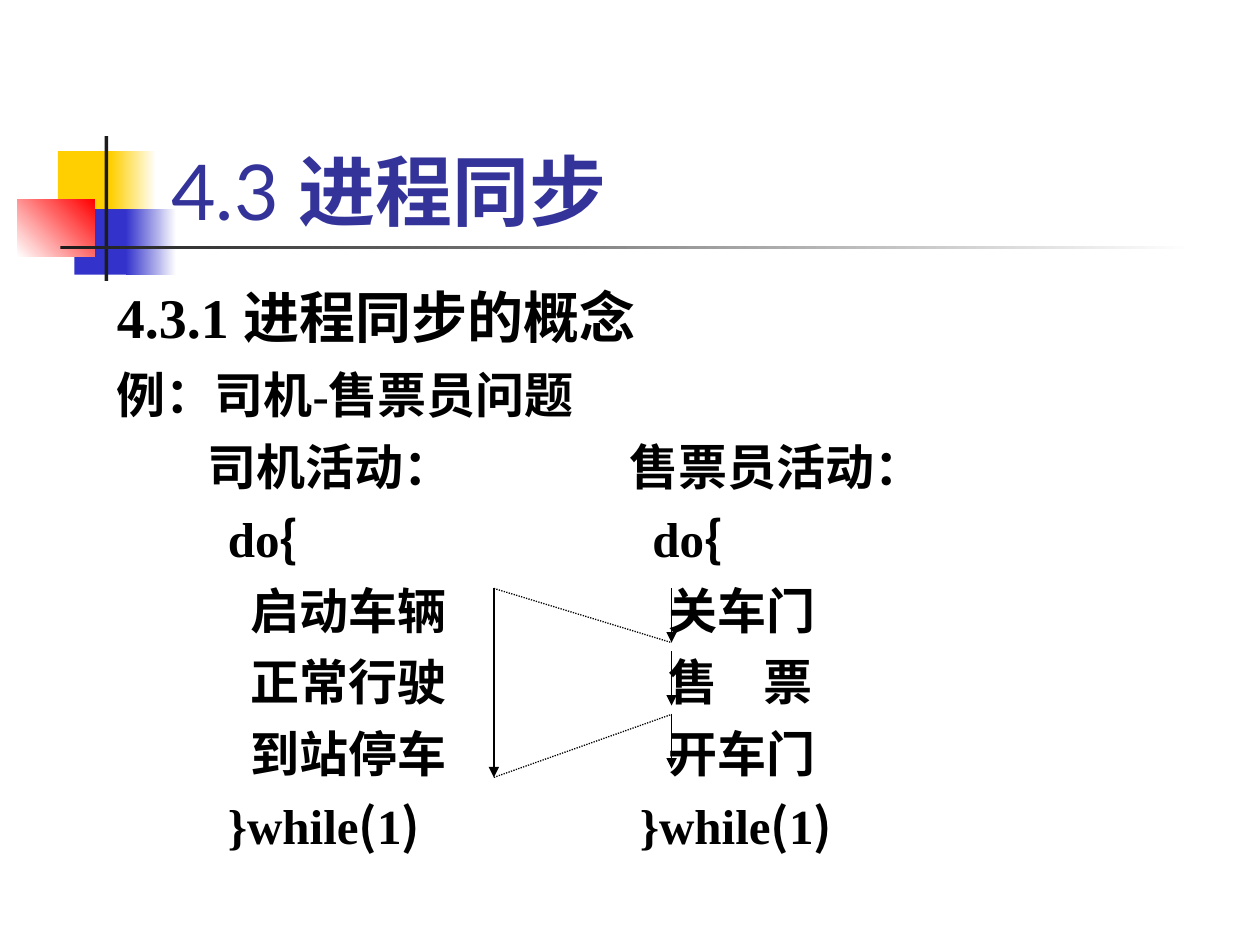
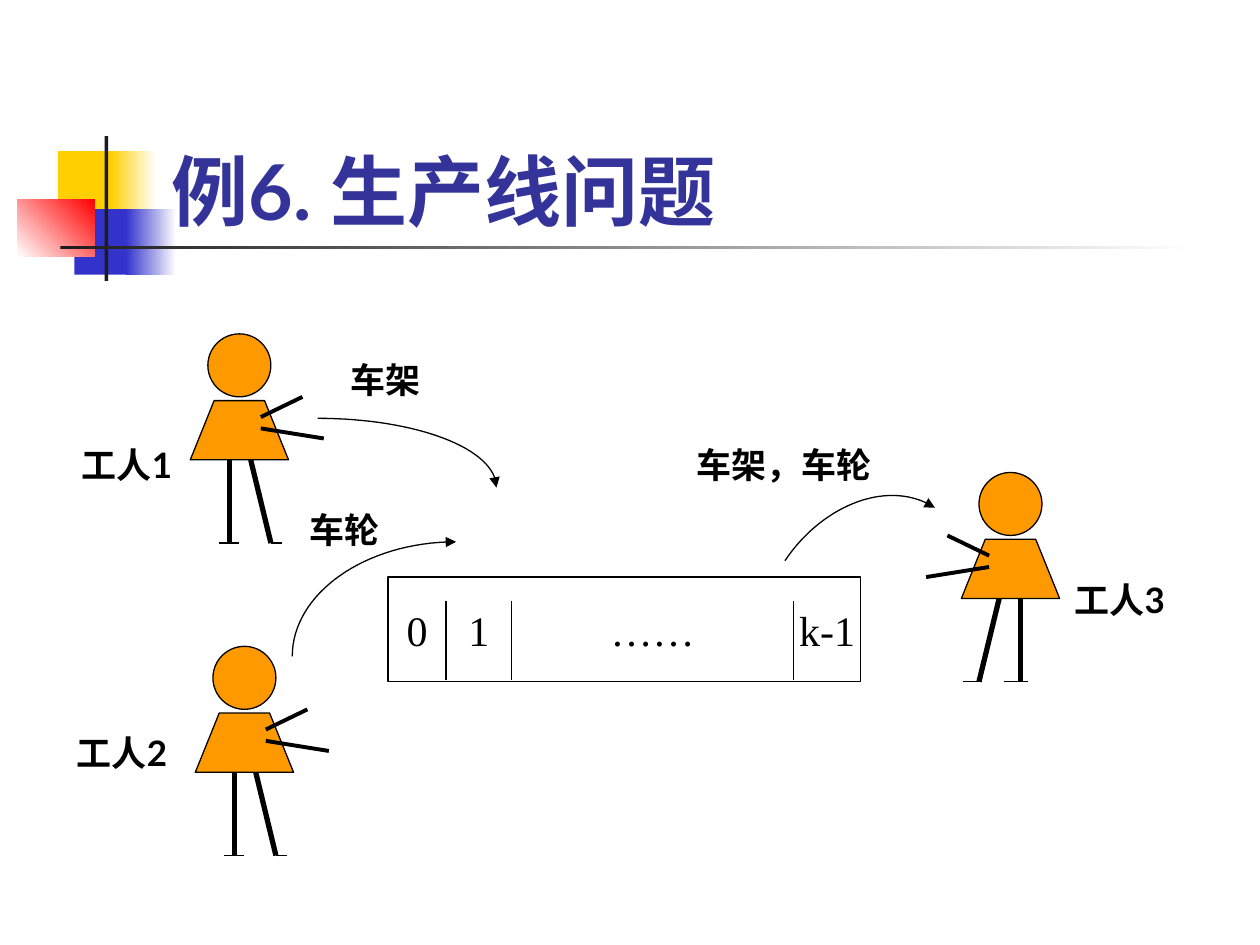
import itertools

import pptx
import pptx.dml.color
import pptx.enum.dml
import pptx.enum.shapes
import pptx.enum.text
import pptx.oxml
import pptx.oxml.ns
import pptx.util

SHAPE = pptx.enum.shapes.MSO_SHAPE
ALIGN = pptx.enum.text.PP_ALIGN
ANCHOR = pptx.enum.text.MSO_ANCHOR

SANS, SERIF, CJK = "Lato", "Times New Roman", "Noto Sans CJK SC"
BLACK, WHITE, NAVY, ORANGE = "000000", "FFFFFF", "333399", "FF9900"
YELLOW, BLUE, RED, INK = "FFCF01", "3333CC", "FF0000", "1C1C1C"

# Band shared by the slides: left, top, width, height, colours, gradient angle
BAND = [
    (0.46, 1.2, 0.48, 0.52, [YELLOW], 0),
    (0.88, 1.2, 0.36, 0.52, [YELLOW, WHITE], 0),
    (0.59, 1.66, 0.46, 0.52, [BLUE], 0),
    (1, 1.66, 0.4, 0.52, [BLUE, WHITE], 0),
    (0.14, 1.58, 0.61, 0.46, [WHITE, RED], 45),
    (0.83, 1.08, 0.03, 1.15, [INK], 0),
    (0.48, 1.95, 9, 0.03, [INK, WHITE], 0),
]
TITLE_AT = (1.26, 0.67, 8.52, 1.25)

# Slide 1: title runs are (text, bold); body rows are (text, tab stops)
SYNC_TITLE = [("4.3 ", False), ("进程同步", True)]
SYNC_HEADING = "4.3.1 进程同步的概念"
STEP_TABS = (1.06, 4.38, 5.13)
SYNC_ROWS = [
    ("例：司机-售票员问题", ()),
    ("\t司机活动：\t售票员活动：", (0.72, 4.07)),
    ("\tdo{\tdo{", (0.88, 4.25)),
    ("\t启动车辆\t关车门", STEP_TABS),
    ("\t正常行驶\t售\t票", STEP_TABS),
    ("\t到站停车\t开车门", STEP_TABS),
    ("\t}while(1)\t}while(1)", (0.88, 4.15)),
]
DRIVER_X, SELLER_X = 3.92, 5.33
DRIVER_Y = (4.67, 6.17)
SELLER_STEP, SELLER_LENGTH, SELLER_COUNT = 0.5, 0.43, 3

# Slide 2
LINE_TITLE = [("例6. 生产线问题", True)]
# Head centre x, head top, direction faced, feet as (from, to) off the centre
RIGHT_FEET = [(-0.16, 0), (0.25, 0.34)]
WORKERS = [
    (8.02, 3.75, -1, [(-0.14, 0.05), (0.23, 0.38)]),
    (1.9, 2.65, 1, RIGHT_FEET),
    (1.94, 5.13, 1, RIGHT_FEET),
]
HEAD = 0.5
TORSO = [(-0.39, 1), (-0.2, 0.53), (0.2, 0.53), (0.39, 1)]
FOOT_Y = 1.66
LIMBS = [  # from, to, line width
    ((-0.08, 1), (-0.08, FOOT_Y), 3),
    ((0.09, 1), (0.25, FOOT_Y), 3),
    ((0.17, 0.75), (0.67, 0.83), 2.25),
    ((0.17, 0.66), (0.5, 0.5), 2.25),
]
BUFFER_AT = (3.08, 4.58, 3.75, 0.83)
BUFFER_CELLS = ["0", "1", "……", "k-1"]
DIVIDERS, DIVIDER_Y = [3.54, 4.06, 6.3], (4.77, 5.4)
FLOWS = [  # start, two control points, end
    ((2.52, 3.32), (3.3, 3.32), (3.94, 3.56), (3.94, 3.87)),
    ((2.32, 5.21), (2.32, 4.71), (2.9, 4.3), (3.62, 4.3)),
    ((6.23, 4.45), (6.54, 3.99), (7.07, 3.8), (7.42, 4.03)),
]
LABELS = [  # text, left, top, width
    ("车架", 2.68, 2.8, 0.79),
    ("车轮", 2.36, 3.99, 0.79),
    ("车架，车轮", 5.43, 3.47, 1.61),
    ("工人1", 0.55, 3.47, 1.02),
    ("工人2", 0.51, 5.76, 1.02),
    ("工人3", 8.43, 4.54, 1.02),
]


def inches(values):
    return [pptx.util.Inches(v) for v in values]


def rgb(color):
    return pptx.dml.color.RGBColor.from_string(color)


def add_xml(parent, tag, **attrs):
    el = parent.makeelement(pptx.oxml.ns.qn(tag), attrs)
    parent.append(el)
    return el


def write(p, text, size=20, font=SANS, color=BLACK, bold=False):
    r = p.add_run()
    r.text = text
    r.font.size = pptx.util.Pt(size)
    r.font.name = font
    r.font.bold = bold
    r.font.color.rgb = rgb(color)
    add_xml(r.font._element, "a:ea", typeface=CJK)


def set_tabs(p, stops, align="l"):
    if stops:
        tabs = add_xml(p._p.get_or_add_pPr(), "a:tabLst")
        for stop in stops:
            add_xml(tabs, "a:tab", pos=str(pptx.util.Inches(stop)), algn=align)


def paint(sp, fill=None, line=BLACK):
    sp.shadow.inherit = False
    if fill:
        sp.fill.solid()
        sp.fill.fore_color.rgb = rgb(fill)
    else:
        sp.fill.background()
    if line:
        stroke(sp, color=line)
    else:
        sp.line.fill.background()


def stroke(sp, width=0.75, color=BLACK, dotted=False, arrow=False):
    sp.line.width = pptx.util.Pt(width)
    sp.line.color.rgb = rgb(color)
    if dotted:
        sp.line.dash_style = pptx.enum.dml.MSO_LINE.ROUND_DOT
    if arrow:
        add_xml(sp.line._get_or_add_ln(), "a:tailEnd", type="triangle")


def add_line(shapes, start, end, **style):
    sp = shapes.add_connector(pptx.enum.shapes.MSO_CONNECTOR.STRAIGHT,
                              *inches((*start, *end)))
    stroke(sp, **style)
    add_xml(sp._element.spPr, "a:effectLst")


def add_outline(shapes, points, close):
    first, *rest = [inches(pt) for pt in points]
    builder = shapes.build_freeform(*first)
    builder.add_line_segments(rest, close=close)
    return builder.convert_to_shape()


def add_textbox(slide, *at):
    tf = slide.shapes.add_textbox(*inches(at)).text_frame
    tf.word_wrap = True
    return tf


def build_band(slide):
    """Draw the band and hand it to the layout, behind its placeholders."""
    for i, (*at, colors, angle) in enumerate(BAND):
        sp = slide.shapes.add_shape(SHAPE.RECTANGLE, *inches(at))
        paint(sp, colors[0], line=None)
        if len(colors) > 1:
            sp.fill.gradient()
            sp.fill.gradient_angle = angle
            for stop, color in zip(sp.fill.gradient_stops, colors):
                stop.color.rgb = rgb(color)
        slide.slide_layout.shapes.element.insert(2 + i, sp.element)


def add_slide(prs, title_runs):
    slide = prs.slides.add_slide(prs.slide_layouts[5])
    title = slide.shapes.title
    title.left, title.top, title.width, title.height = inches(TITLE_AT)
    tf = title.text_frame
    tf.vertical_anchor = ANCHOR.BOTTOM
    tf.paragraphs[0].alignment = ALIGN.LEFT
    for text, bold in title_runs:
        write(tf.paragraphs[0], text, size=44, color=NAVY, bold=bold)
    return slide


def draw_sync(slide):
    tf = add_textbox(slide, 0.83, 2.25, 8.25, 4.57)
    tf.paragraphs[0].line_spacing = 0.9
    write(tf.paragraphs[0], SYNC_HEADING, size=32, font=SERIF, bold=True)
    for text, stops in SYNC_ROWS:
        p = tf.add_paragraph()
        set_tabs(p, stops)
        p.line_spacing = 0.7
        p.space_before = pptx.util.Pt(17.5)
        for is_bracket, chars in itertools.groupby(text, lambda ch: ch in "{()"):
            write(p, "".join(chars), size=28, bold=True,
                  font=CJK if is_bracket else SERIF)

    top, bottom = DRIVER_Y
    starts = [top + i * SELLER_STEP for i in range(SELLER_COUNT)]
    add_line(slide.shapes, (DRIVER_X, top), (DRIVER_X, bottom), arrow=True)
    for y in starts:
        add_line(slide.shapes, (SELLER_X, y), (SELLER_X, y + SELLER_LENGTH), arrow=True)
    for y, seller_y in ((top, top + SELLER_LENGTH), (bottom, starts[-1])):
        add_line(slide.shapes, (DRIVER_X, y), (SELLER_X, seller_y), dotted=True)


def draw_worker(slide, cx, top, facing, feet):
    shapes = slide.shapes.add_group_shape().shapes

    def place(point):
        return cx + facing * point[0], top + point[1]

    head = shapes.add_shape(SHAPE.OVAL, *inches((cx - HEAD / 2, top, HEAD, HEAD)))
    torso = add_outline(shapes, [place(pt) for pt in TORSO], close=True)
    for sp in (head, torso):
        paint(sp, ORANGE)
    soles = [((a, FOOT_Y), (b, FOOT_Y), 0.75) for a, b in feet]
    for start, end, width in LIMBS + soles:
        add_line(shapes, place(start), place(end), width=width)


def draw_buffer(slide):
    left, _, width, _ = BUFFER_AT
    sp = slide.shapes.add_shape(SHAPE.RECTANGLE, *inches(BUFFER_AT))
    paint(sp)
    tf = sp.text_frame
    tf.margin_left = tf.margin_right = 0
    tf.vertical_anchor = ANCHOR.MIDDLE
    p = tf.paragraphs[0]
    p.alignment = ALIGN.LEFT
    edges = [left, *DIVIDERS, left + width]
    set_tabs(p, [(a + b) / 2 - left for a, b in zip(edges, edges[1:])], "ctr")
    write(p, "".join("\t" + cell for cell in BUFFER_CELLS), size=24, font=SERIF)
    for x in DIVIDERS:
        add_line(slide.shapes, (x, DIVIDER_Y[0]), (x, DIVIDER_Y[1]))


def curve_points(controls, steps=32):
    """Points along a cubic Bezier curve."""
    for t in (i / steps for i in range(steps + 1)):
        weights = ((1 - t) ** 3, 3 * t * (1 - t) ** 2, 3 * t * t * (1 - t), t ** 3)
        yield tuple(sum(w * c for w, c in zip(weights, axis)) for axis in zip(*controls))


def draw_production(slide):
    draw_buffer(slide)
    for worker in WORKERS:
        draw_worker(slide, *worker)
    for controls in FLOWS:
        sp = add_outline(slide.shapes, curve_points(controls), close=False)
        paint(sp)
        stroke(sp, arrow=True)
    for text, left, top, width in LABELS:
        tf = add_textbox(slide, left, top, width, 0.44)
        write(tf.paragraphs[0], text, bold=True)


def main():
    prs = pptx.Presentation()
    prs.slide_width, prs.slide_height = inches((10, 7.5))
    sync = add_slide(prs, SYNC_TITLE)
    build_band(sync)
    draw_sync(sync)
    draw_production(add_slide(prs, LINE_TITLE))
    prs.save("out.pptx")


if __name__ == "__main__":
    main()
